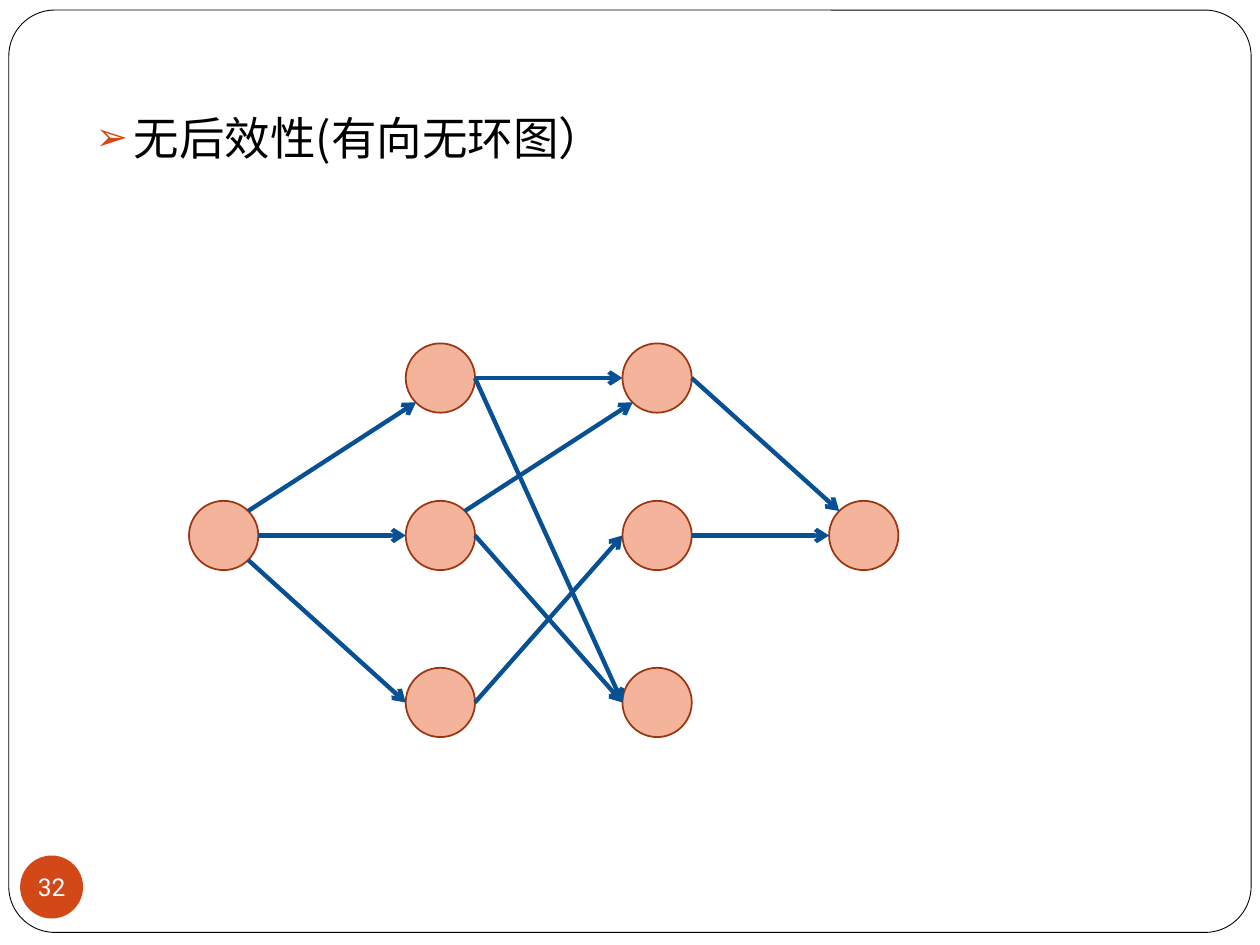
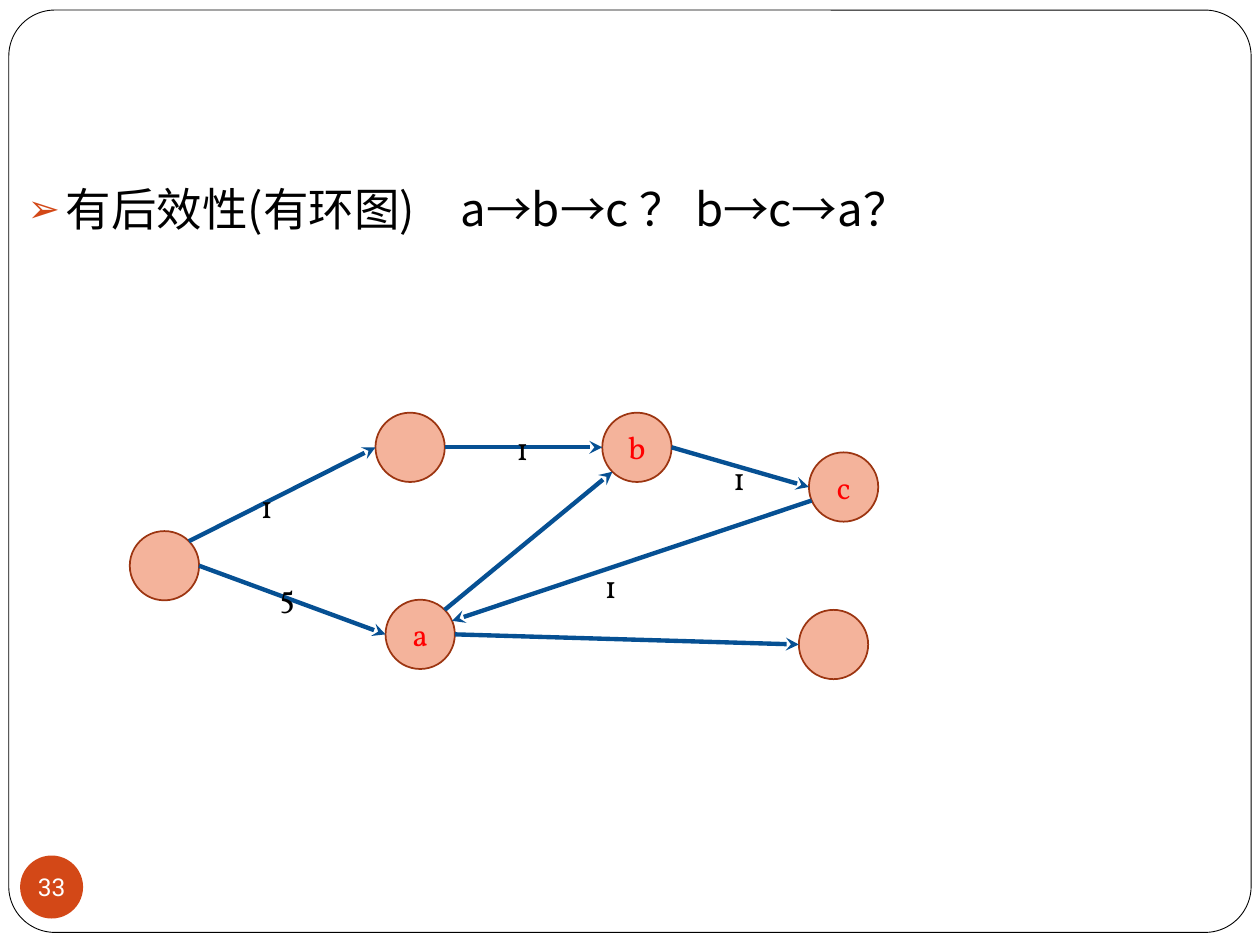
"""Two slides on state graphs: one acyclic, one with a cycle."""
from dataclasses import dataclass
from math import cos, radians, sin

from lxml import etree
from pptx import Presentation
from pptx import util as u
from pptx.dml.color import RGBColor
from pptx.enum import shapes, text
from pptx.oxml import ns

COLUMNS, ROWS = 100, 75
EAST, SOUTHEAST, SOUTHWEST, WEST, NORTHWEST, NORTHEAST = 0, 45, 135, 180, 225, 315


@dataclass(frozen=True)
class Theme:
    """Colours, fonts and sizes shared by the slides."""
    paper: str = "FFFFFF"
    ink: str = "000000"
    accent: str = "D34817"
    node: str = "F4B39B"
    node_edge: str = "9C3511"
    arrow: str = "065093"
    state: str = "FF0000"
    heading_font: str = "Noto Sans CJK SC"
    number_font: str = "Roboto"
    graph_font: str = "Vollkorn"
    heading_size: float = 26
    number_size: float = 14
    graph_size: float = 18
    frame_width: float = 0.5
    node_width: float = 1
    arrow_width: float = 2.5
    node_diameter: float = 5.5


def style(target, formats):
    """Set every attribute in formats on the target."""
    for attribute, value in formats.items():
        setattr(target, attribute, value)


def add_xml(parent, tag, **attributes):
    """Append a DrawingML element and return it."""
    return etree.SubElement(parent, ns.qn(f"a:{tag}"), attributes)


class GraphDeck:
    """Draws graph slides in one theme on a grid of columns and rows."""

    def __init__(self, theme, first_number):
        """Open a presentation whose slides count from first_number."""
        self.theme = theme
        self.number = first_number
        self.deck = Presentation()
        style(self.deck, {"slide_width": u.Inches(10), "slide_height": u.Inches(7.5)})
        self.slide = None

    def place(self, left, top, width, height):
        """Turn grid columns and rows into slide lengths."""
        column = self.deck.slide_width / COLUMNS
        row = self.deck.slide_height / ROWS
        return [u.Emu(round(v)) for v in
                (left * column, top * row, width * column, height * row)]

    def line_of_text(self, frame, wording, font, size, colour, align=text.PP_ALIGN.LEFT):
        """Put one formatted paragraph in a text frame."""
        paragraph = frame.paragraphs[0]
        run = paragraph.add_run()
        run.text = wording
        paragraph.alignment = align
        style(run.font, {"name": font, "size": u.Pt(size)})
        run.font.color.rgb = RGBColor.from_string(colour)
        return paragraph

    def shape(self, kind, area, fill, edge=None, width=0):
        """Add a flat preset shape."""
        shape = self.slide.shapes.add_shape(kind, *self.place(*area))
        shape.shadow.inherit = False
        shape.fill.solid()
        shape.fill.fore_color.rgb = RGBColor.from_string(fill)
        if edge:
            shape.line.color.rgb = RGBColor.from_string(edge)
            shape.line.width = u.Pt(width)
        else:
            shape.line.fill.background()
        return shape

    def start(self, heading, area):
        """Begin a slide with its frame, number and bulleted heading."""
        t = self.theme
        self.slide = self.deck.slides.add_slide(self.deck.slide_layouts[1])
        title = self.slide.shapes.title.element
        title.getparent().remove(title)
        frame = self.shape(shapes.MSO_SHAPE.ROUNDED_RECTANGLE, (0.7, 0.8, 98.6, 73.2),
                           t.paper, t.ink, t.frame_width)
        frame.adjustments[0] = 0.05
        badge = self.shape(shapes.MSO_SHAPE.OVAL, (1.6, 67.9, 5, 5), t.accent)
        style(badge.text_frame, {
            "margin_left": 0, "margin_right": 0, "margin_top": 0, "margin_bottom": 0,
            "word_wrap": False, "vertical_anchor": text.MSO_ANCHOR.MIDDLE})
        self.line_of_text(badge.text_frame, str(self.number), t.number_font,
                          t.number_size, t.paper, text.PP_ALIGN.CENTER)
        self.number += 1
        self.heading(heading, area)

    def heading(self, wording, area):
        """Fill the body placeholder with one arrow-bulleted line."""
        t = self.theme
        body = self.slide.placeholders[1]
        self.slide.shapes.element.append(body.element)
        style(body, dict(zip(("left", "top", "width", "height"), self.place(*area))))
        style(body.text_frame, {"word_wrap": True, "auto_size": text.MSO_AUTO_SIZE.NONE,
                                "vertical_anchor": text.MSO_ANCHOR.TOP})
        paragraph = self.line_of_text(body.text_frame, wording, t.heading_font,
                                      t.heading_size, t.ink)
        paragraph.space_before = u.Pt(0)
        characters, properties = (body.element.find(f".//{ns.qn(tag)}")
                                  for tag in ("a:rPr", "a:pPr"))
        add_xml(characters, "ea", typeface=t.heading_font)
        properties.set("marL", str(u.Inches(0.3)))
        properties.set("indent", str(-u.Inches(0.3)))
        add_xml(add_xml(properties, "buClr"), "srgbClr", val=t.accent)
        add_xml(properties, "buSzPct", val="85000")
        add_xml(properties, "buChar", char="➢")

    def node(self, centre, state=""):
        """Add a round node, with its state name if it has one."""
        t = self.theme
        d = t.node_diameter
        area = (centre[0] - d / 2, centre[1] - d / 2, d, d)
        circle = self.shape(shapes.MSO_SHAPE.OVAL, area, t.node, t.node_edge, t.node_width)
        if state:
            circle.text_frame.vertical_anchor = text.MSO_ANCHOR.MIDDLE
            self.line_of_text(circle.text_frame, state, t.graph_font, t.graph_size,
                              t.state, text.PP_ALIGN.CENTER)

    def rim(self, centre, angle):
        """Return the rim point of a node, clockwise from east."""
        radius = self.theme.node_diameter / 2
        return (centre[0] + radius * cos(radians(angle)),
                centre[1] + radius * sin(radians(angle)))

    def edge(self, source, leaving, target, entering, head):
        """Join two nodes with an arrow from rim to rim."""
        ends = self.place(*self.rim(source, leaving), *self.rim(target, entering))
        arrow = self.slide.shapes.add_connector(shapes.MSO_CONNECTOR.STRAIGHT, *ends)
        arrow.line.color.rgb = RGBColor.from_string(self.theme.arrow)
        arrow.line.width = u.Pt(self.theme.arrow_width)
        properties = arrow.element.spPr
        add_xml(properties.find(ns.qn("a:ln")), "tailEnd", type=head)
        add_xml(properties, "effectLst")

    def weight(self, wording, left, top, width=2.8):
        """Label an edge with its weight."""
        t = self.theme
        box = self.slide.shapes.add_textbox(*self.place(left, top, width, 4))
        style(box.text_frame, {"word_wrap": False,
                               "auto_size": text.MSO_AUTO_SIZE.SHAPE_TO_FIT_TEXT})
        self.line_of_text(box.text_frame, wording, t.graph_font, t.graph_size, t.ink)

    def graph(self, nodes, edges, head):
        """Draw all nodes, then the edges between them."""
        for name, centre in nodes.items():
            self.node(centre, name if len(name) == 1 else "")
        for source, leaving, target, entering in edges:
            self.edge(nodes[source], leaving, nodes[target], entering, head)


def acyclic_slide(deck):
    """Draw the graph without cycles."""
    deck.start("无后效性(有向无环图）", (6.6, 8.2, 51.2, 7.1))
    stages = [17.75 + 17.2 * step for step in range(3)]
    upper, middle, lower = 30, 42.5, 55.75
    nodes = {"start": (stages[0], middle)}
    for stage, column in zip(("first", "second"), stages[1:]):
        for level, row in (("upper", upper), ("middle", middle), ("lower", lower)):
            nodes[f"{stage} {level}"] = (column, row)
    nodes["goal"] = (68.55, middle)
    deck.graph(nodes, [
        ("start", NORTHEAST, "first upper", SOUTHWEST),
        ("start", EAST, "first middle", WEST),
        ("start", SOUTHEAST, "first lower", WEST),
        ("first upper", EAST, "second upper", WEST),
        ("first upper", EAST, "second lower", WEST),
        ("first middle", EAST, "second lower", WEST),
        ("first lower", EAST, "second middle", WEST),
        ("second upper", EAST, "goal", NORTHWEST),
        ("second middle", EAST, "goal", WEST),
        ("first middle", NORTHEAST, "second upper", SOUTHWEST),
    ], "arrow")


def cyclic_slide(deck):
    """Draw the graph in which a, b and c form a cycle."""
    deck.start("有后效性(有环图)　a→b→c ？ b→c→a？", (1.2, 13.9, 95.5, 6.3))
    nodes = {"start": (13.05, 44.9), "upper": (32.55, 35.5), "a": (33.35, 50.35),
             "b": (50.55, 35.5), "c": (66.95, 38.65), "goal": (66.15, 51.15)}
    deck.graph(nodes, [
        ("start", NORTHEAST, "upper", WEST),
        ("start", EAST, "a", WEST),
        ("upper", EAST, "b", WEST),
        ("a", NORTHEAST, "b", SOUTHWEST),
        ("b", EAST, "c", WEST),
        ("c", 157, "a", -23),
        ("a", EAST, "goal", WEST),
    ], "stealth")
    deck.weight("5", 21.2, 45.3, 3.2)
    for left, top in ((19.7, 38.2), (40, 33.6), (57.2, 35.9), (47, 44.5)):
        deck.weight("1", left, top)


def main():
    """Build and save both slides."""
    graphs = GraphDeck(Theme(), first_number=32)
    acyclic_slide(graphs)
    cyclic_slide(graphs)
    graphs.deck.save("out.pptx")


if __name__ == "__main__":
    main()
